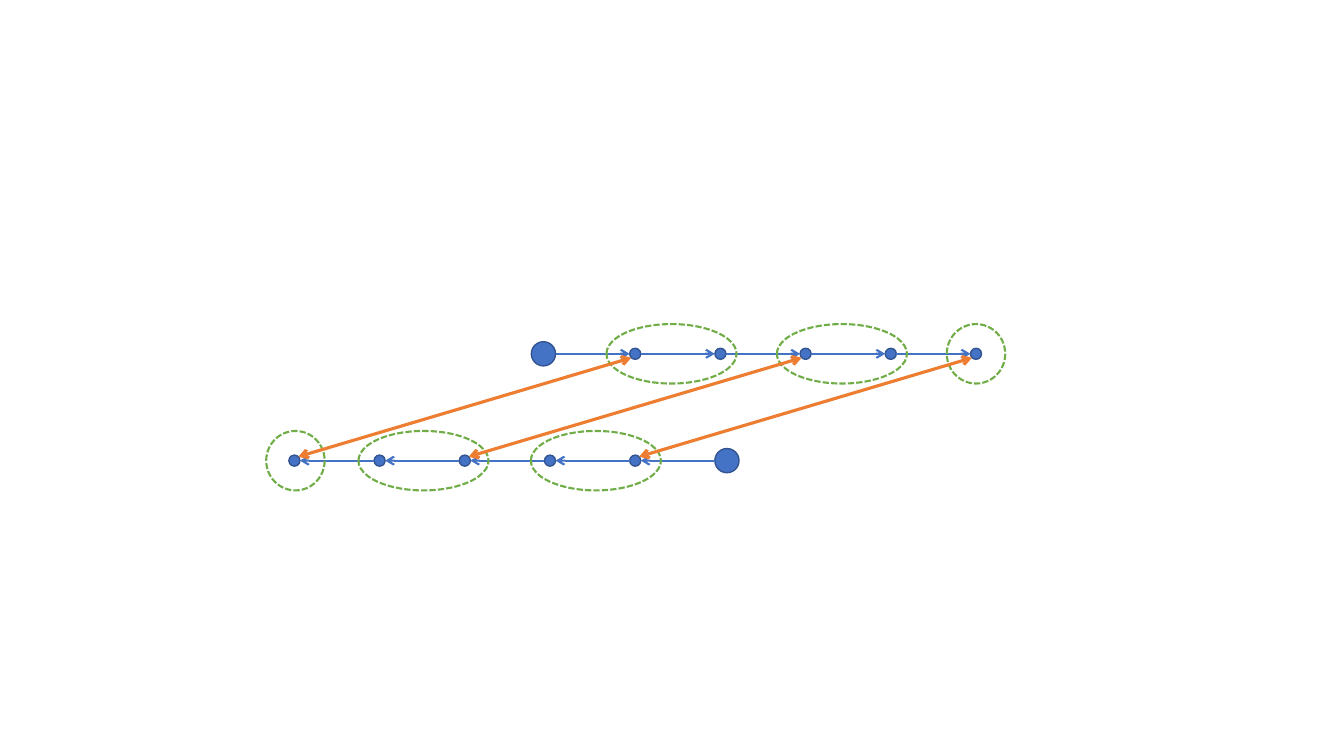
from pptx import Presentation
from pptx.dml.color import RGBColor
from pptx.enum.dml import MSO_LINE
from pptx.enum.shapes import MSO_CONNECTOR, MSO_SHAPE
from pptx.oxml.ns import qn
from pptx.util import Inches, Pt
from lxml import etree

OVAL = MSO_SHAPE.OVAL
STRAIGHT = MSO_CONNECTOR.STRAIGHT
DASH = MSO_LINE.SQUARE_DOT

# Content: each chain runs from a large start node through small nodes
BLUE, NAVY, GREEN, ORANGE = "4472C4", "325491", "70AD47", "ED7D31"
SMALL_COUNT, FIRST_X, STEP = 5, 6.3, 0.845
SMALL, LARGE = 0.11, 0.24
CHAINS = [
    {"y": 3.51, "start": 5.39, "direction": 1},
    {"y": 4.57, "start": 7.21, "direction": -1},
]
GROUPS = [  # centre x, centre y, width
    (5.91, 4.57, 1.29), (4.2, 4.57, 1.29), (2.93, 4.57, 0.58),
    (6.66, 3.51, 1.29), (8.35, 3.51, 1.29), (9.68, 3.51, 0.58),
]
GROUP_HEIGHT = 0.59
PAIRS = [(0, 4), (2, 2), (4, 0)]  # small node in upper chain, in lower chain
PAIR_INSET = 0.04

prs = Presentation()
prs.slide_width, prs.slide_height = Inches(13.33), Inches(7.5)
s = prs.slides.add_slide(prs.slide_layouts[6])


def color(value):
    return RGBColor.from_string(value)


def add_ellipse(x, y, w, h, line, width, fill=None, dash=None):
    sp = s.shapes.add_shape(OVAL, Inches(x - w / 2), Inches(y - h / 2),
                            Inches(w), Inches(h))
    sp.shadow.inherit = False
    if fill:
        sp.fill.solid()
        sp.fill.fore_color.rgb = color(fill)
    else:
        sp.fill.background()
    sp.line.color.rgb = color(line)
    sp.line.width = Pt(width)
    if dash:
        sp.line.dash_style = dash


def add_arrow(x1, y1, x2, y2, line, width, ends):
    cx = s.shapes.add_connector(STRAIGHT, Inches(x1), Inches(y1),
                                Inches(x2), Inches(y2))
    cx.line.color.rgb = color(line)
    cx.line.width = Pt(width)
    ln = cx.line._get_or_add_ln()
    for end in ends:
        etree.SubElement(ln, qn("a:" + end), type="arrow")
    etree.SubElement(cx._element.spPr, qn("a:effectLst"))


# Chains: nodes, then the links between neighbours
small_xs = []
for chain in CHAINS:
    y, way = chain["y"], chain["direction"]
    xs = [FIRST_X + way * STEP * i for i in range(SMALL_COUNT)]
    small_xs.append(xs)
    nodes = [(chain["start"], LARGE)] + [(x, SMALL) for x in xs]
    for x, size in nodes:
        add_ellipse(x, y, size, size, NAVY, 1, fill=BLUE)
    for (x1, size1), (x2, size2) in zip(nodes, nodes[1:]):
        add_arrow(x1 + way * size1 / 2, y, x2 - way * size2 / 2, y,
                  BLUE, 1.5, ["tailEnd"])

# Dashed groups
for x, y, w in GROUPS:
    add_ellipse(x, y, w, GROUP_HEIGHT, GREEN, 1.5, dash=DASH)

# Two-way arrows between the chains
upper_xs, lower_xs = small_xs
for upper, lower in PAIRS:
    add_arrow(upper_xs[upper] - PAIR_INSET, CHAINS[0]["y"] + PAIR_INSET,
              lower_xs[lower] + PAIR_INSET, CHAINS[1]["y"] - PAIR_INSET,
              ORANGE, 2.25, ["headEnd", "tailEnd"])

prs.save("out.pptx")
